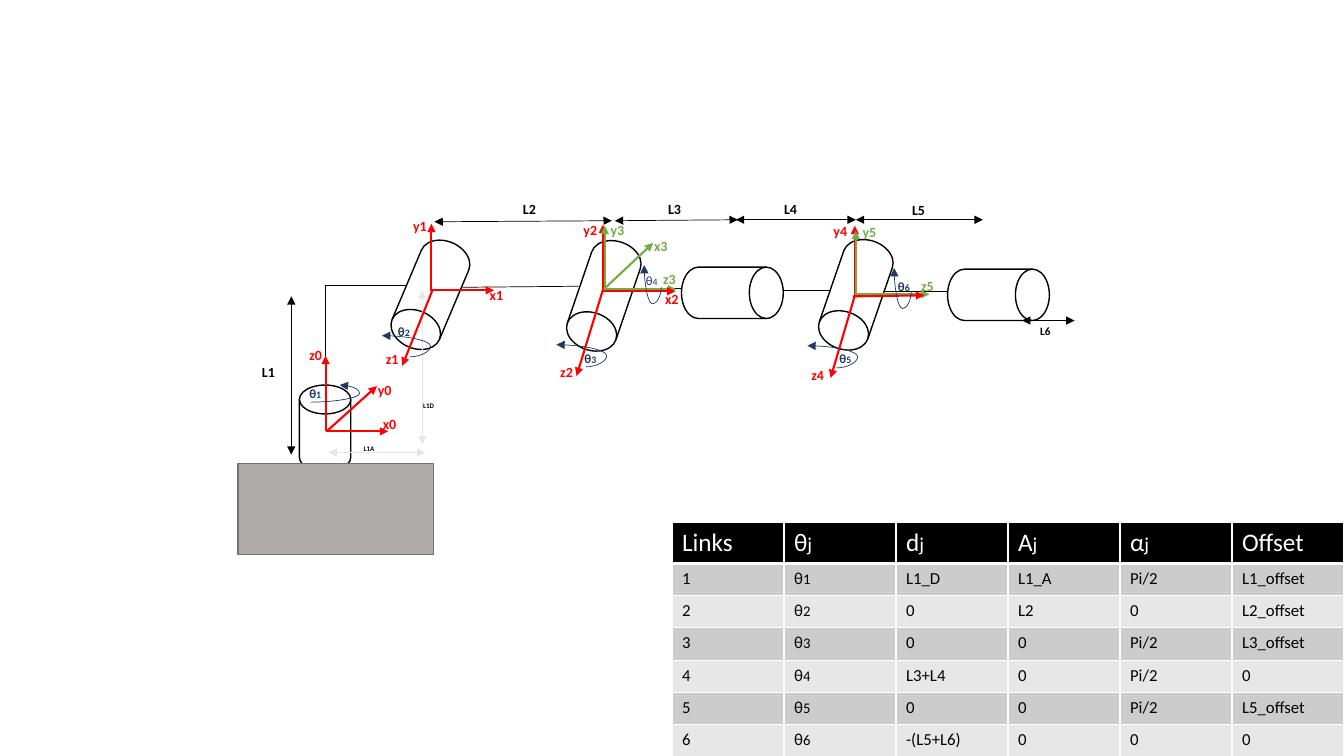
from dataclasses import dataclass

from lxml.etree import SubElement
from pptx import Presentation
from pptx.dml.color import RGBColor
from pptx.enum.shapes import MSO_CONNECTOR as Route, MSO_SHAPE as Preset
from pptx.oxml.ns import qn
from pptx.util import Inches, Pt


@dataclass(frozen=True)
class Theme:
    """Colours, type sizes and line widths of the slide."""
    font: str = "Calibri"
    ink: str = "000000"
    paper: str = "FFFFFF"
    red: str = "FF0000"
    green: str = "70AD47"
    navy: str = "203864"
    pale: str = "E7E6E6"
    base: str = "AFABAB"
    base_edge: str = "767171"
    bands: tuple = ("CCCCCC", "E7E7E7")
    axis_label: tuple = (10,)
    tool_label: tuple = (8,)
    tiny_label: tuple = (5,)
    angle: tuple = (9, 7)
    header: tuple = (18, 14)
    body: tuple = (12, 10.5)
    hair: float = 0.5
    outline: float = 1
    axis: float = 1.5
    header_rule: float = 3


THEME = Theme()
COLUMNS, ROWS = 133.33, 75
JOINT_LENGTH, JOINT_WIDTH = 11.2, 5.1

DRUMS = [((42.7, 29.25), 112.9), ((59.9, 29.35), 108.9), ((84.9, 29.25), 109)]
DISKS = [((99.05, 29.25), 10.1, 90), ((32.25, 42.5), 8.6, 0), ((72.65, 29.05), 10.1, 90)]
LINKS = [((45.9, 28.5), (57.4, 28.4)), ((63, 28.6), (67.6, 28.6)),
         ((77.8, 28.8), (82.4, 28.8)), ((87.7, 28.9), (94, 28.9))]

DIMENSIONS = [
    ("L1A", (42.2, 44.9), (32.6, 44.9), (35.1, 43.6), THEME.pale, THEME.tiny_label),
    ("L2", (60.7, 21.9), (43.1, 22), (50.9, 19.4), THEME.ink, THEME.axis_label),
    ("L3", (73.2, 21.8), (61, 21.9), (65.3, 19.4), THEME.ink, THEME.axis_label),
    ("L4", (84.9, 21.8), (73, 21.8), (76.8, 19.4), THEME.ink, THEME.axis_label),
    ("L5", (97.5, 21.8), (84.9, 21.8), (89.5, 19.5), THEME.ink, THEME.axis_label),
    ("L1", (28.9, 29.4), (28.9, 45.1), (25, 35.6), THEME.ink, THEME.axis_label),
    ("L1D", (41.9, 28.8), (41.9, 44.1), (41, 39.3), THEME.pale, THEME.tiny_label),
    ("L6", (106.6, 31.8), (101.4, 31.8), (102.2, 31.7), THEME.ink, THEME.tool_label),
]

AXES = [
    ("z0", (32.3, 42.8), (32.3, 35.3), (29.7, 33.9), THEME.red),
    ("z1", (42.9, 28.8), (39.9, 36.3), (37.3, 34.3), THEME.red),
    ("z3", (59.9, 28.7), (67.1, 28.7), (64.8, 26.3), THEME.green),
    ("z2", (59.8, 28.8), (57.2, 37.3), (54.6, 35.6), THEME.red),
    ("z4", (84.9, 29), (82.4, 37.5), (79.5, 35.9), THEME.red),
    ("z5", (84.9, 29.2), (92.2, 29.2), (90.4, 27), THEME.green),
    ("x0", (32.3, 42.8), (38.5, 42.8), (37, 40.7), THEME.red),
    ("y0", (32.4, 42.8), (37.4, 38.3), (36.5, 37.4), THEME.red),
    ("x1", (42.7, 28.8), (49, 28.8), (47.6, 27.9), THEME.red),
    ("y1", (42.8, 28.8), (42.8, 22.2), (40, 21.1), THEME.red),
    ("x2", (59.9, 28.9), (67, 28.9), (65, 28.3), THEME.red),
    ("y2", (59.8, 29), (59.8, 22.3), (56.9, 21.5), THEME.red),
    ("x3", (59.9, 28.7), (64.8, 24.1), (63.9, 23.1), THEME.green),
    ("y3", (60, 28.6), (60, 22.4), (59.6, 21.5), THEME.green),
    ("y4", (84.8, 29.1), (84.8, 22.4), (81.7, 21.6), THEME.red),
    ("y5", (84.9, 29.3), (84.9, 22.9), (84.6, 21.7), THEME.green),
    (None, (84.6, 29.4), (91.7, 29.3), None, THEME.red),
]

ROTATIONS = [
    ("1", (30.8, 39.9), (33.7, 38.2), (29.7, 37.8), False, 1.68),
    ("2", (40.7, 35.4), (37.9, 33.3), (38.5, 31.6), False, -0.72),
    ("3", (58.1, 36.4), (55.2, 34.2), (57, 34.3), False, -0.72),
    ("4", (65.6, 28.5), (63.9, 26.3), (63.1, 26.6), True, -0.75),
    ("5", (83, 36.5), (80.1, 34.3), (82.3, 34.3), False, -0.72),
    ("6", (90.4, 28.9), (88.7, 26.6), (88.1, 27.2), True, -0.75),
]

HEADINGS = ["Links", ("θ", "j"), ("d", "j"), ("A", "j"), ("α", "j"), "Offset"]
PARAMETERS = [
    ("L1_D", "L1_A", "Pi/2", "L1_offset"),
    ("0", "L2", "0", "L2_offset"),
    ("0", "0", "Pi/2", "L3_offset"),
    ("L3+L4", "0", "Pi/2", "0"),
    ("0", "0", "Pi/2", "L5_offset"),
    ("-(L5+L6)", "0", "0", "0"),
]


def grid(*cells):
    """Turn grid cells of a tenth of an inch into lengths."""
    return [Inches(cell / 10) for cell in cells]


def rgb(colour):
    """Read a theme colour."""
    return RGBColor.from_string(colour)


def write(frame, words, sizes, colour, bold=False):
    """Write one run per word, each in its own size."""
    for word, size in zip((words,) if isinstance(words, str) else words, sizes):
        run = frame.paragraphs[0].add_run()
        run.text = word
        run.font.name, run.font.size, run.font.bold = THEME.font, Pt(size), bold
        run.font.color.rgb = rgb(colour)


def label(slide, words, corner, sizes, colour, bold=True):
    """Place a short label with its box corner on the grid."""
    frame = slide.shapes.add_textbox(*grid(*corner, 6, 2.6)).text_frame
    frame.word_wrap = True
    write(frame, words, sizes, colour, bold)


def solid(slide, preset, centre, size, fill, edge, turn=0):
    """Draw a filled shape about its centre."""
    corner = [middle - length / 2 for middle, length in zip(centre, size)]
    body = slide.shapes.add_shape(preset, *grid(*corner, *size))
    body.shadow.inherit = False
    body.rotation = turn
    body.fill.solid()
    body.fill.fore_color.rgb = rgb(fill)
    body.line.color.rgb = rgb(edge)
    body.line.width = Pt(THEME.outline)


def connect(slide, start, end, colour, width, ends=(), route=Route.STRAIGHT, upright=False):
    """Draw a connector; an upright one leaves its start vertically."""
    if upright:
        (x0, y0), (x1, y1) = start, end
        cx, cy, half_w, half_h = (x0 + x1) / 2, (y0 + y1) / 2, (y0 - y1) / 2, (x1 - x0) / 2
        start, end = (cx - half_w, cy - half_h), (cx + half_w, cy + half_h)
    link = slide.shapes.add_connector(route, *grid(*start, *end))
    link.line.color.rgb = rgb(colour)
    link.line.width = Pt(width)
    for tip in ends:
        SubElement(link.line._get_or_add_ln(), qn(f"a:{tip}"), type="triangle")
    properties = link._element.spPr
    SubElement(properties, qn("a:effectLst"))
    if upright:
        properties.find(qn("a:xfrm")).set("rot", str(270 * 60000))
    return properties.find(qn("a:prstGeom"))


def rotation_arrow(slide, start, end, upright, bend):
    """Draw the curved arrow of a joint's rotation."""
    geometry = connect(slide, start, end, THEME.navy, THEME.hair, ["tailEnd"], Route.CURVE, upright)
    guides = geometry.find(qn("a:avLst"))
    SubElement(guides, qn("a:gd"), name="adj1", fmla=f"val {round(bend * 100000)}")


def arm(slide):
    """Draw the joints, links and base of the robot."""
    for centre, length, turn in DISKS:
        solid(slide, Preset.FLOWCHART_MAGNETIC_DISK, centre, (JOINT_WIDTH, length),
              THEME.paper, THEME.ink, turn)
    for centre, turn in DRUMS:
        solid(slide, Preset.FLOWCHART_DIRECT_ACCESS_STORAGE, centre, (JOINT_LENGTH, JOINT_WIDTH),
              THEME.paper, THEME.ink, turn)
    shoulder = connect(slide, (32.3, 38.2), (40.4, 28.3), THEME.ink, THEME.hair,
                       route=Route.ELBOW, upright=True)
    shoulder.set("prst", "bentConnector2")
    for start, end in LINKS:
        connect(slide, start, end, THEME.ink, THEME.hair)
    solid(slide, Preset.RECTANGLE, (33.3, 50.5), (19.4, 9), THEME.base, THEME.base_edge)


def fill_cell(cell, words, sizes, colour, fill, top, bottom):
    """Write, rule and fill one table cell."""
    write(cell.text_frame, words, sizes, colour)
    properties = cell._tc.get_or_add_tcPr()
    for side, width in zip("LRTB", (THEME.outline, THEME.outline, top, bottom)):
        rule = SubElement(properties, qn(f"a:ln{side}"), w=str(Pt(width)))
        SubElement(SubElement(rule, qn("a:solidFill")), qn("a:srgbClr"), val=THEME.paper)
    cell.fill.solid()
    cell.fill.fore_color.rgb = rgb(fill)


def parameter_table(slide):
    """Build the table of link parameters in the lower right."""
    lines = [HEADINGS] + [(str(joint), ("θ", str(joint)), *values)
                          for joint, values in enumerate(PARAMETERS, 1)]
    place = grid(COLUMNS / 2, 51.8, COLUMNS / 2, 23.3)
    table = slide.shapes.add_table(len(lines), len(HEADINGS), *place).table
    for at, line in enumerate(lines):
        table.rows[at].height = Inches(0.32 if at else 0.41)
        sizes, colour, fill = ((THEME.body, THEME.ink, THEME.bands[(at - 1) % 2]) if at
                               else (THEME.header, THEME.paper, THEME.ink))
        top = THEME.header_rule if at == 1 else THEME.outline
        bottom = THEME.outline if at else THEME.header_rule
        for cell, words in zip(table.rows[at].cells, line):
            fill_cell(cell, words, sizes, colour, fill, top, bottom)


def main():
    """Build and save the slide."""
    deck = Presentation()
    deck.slide_width, deck.slide_height = grid(COLUMNS, ROWS)
    slide = deck.slides.add_slide(deck.slide_layouts[6])
    arm(slide)
    for name, start, end, corner, colour, sizes in DIMENSIONS:
        connect(slide, start, end, colour, THEME.hair, ["headEnd", "tailEnd"])
        label(slide, name, corner, sizes, THEME.ink)
    for name, start, tip, corner, colour in AXES:
        connect(slide, start, tip, colour, THEME.axis, ["tailEnd"])
        if name:
            label(slide, name, corner, THEME.axis_label, colour)
    for joint, start, end, corner, upright, bend in ROTATIONS:
        rotation_arrow(slide, start, end, upright, bend)
        label(slide, ("θ", joint), corner, THEME.angle, THEME.navy, joint != "4")
    parameter_table(slide)
    deck.save("out.pptx")


main()
